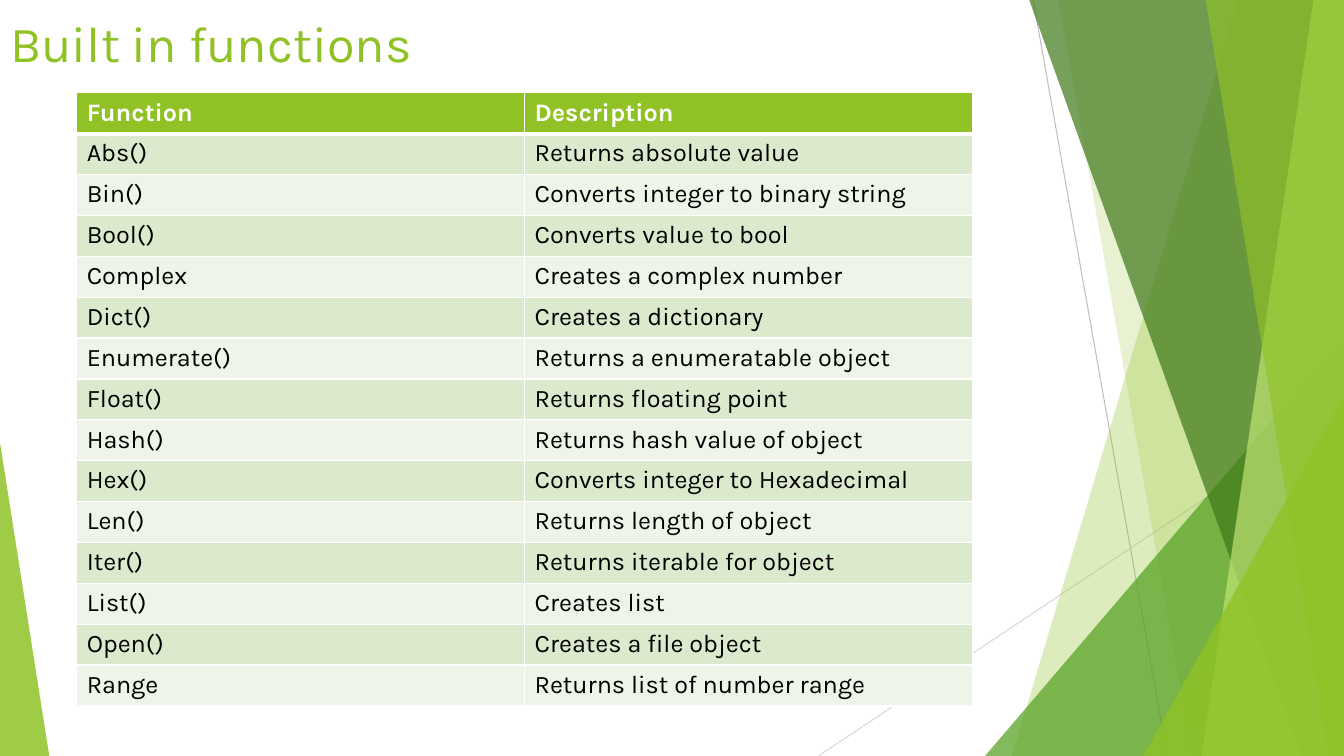
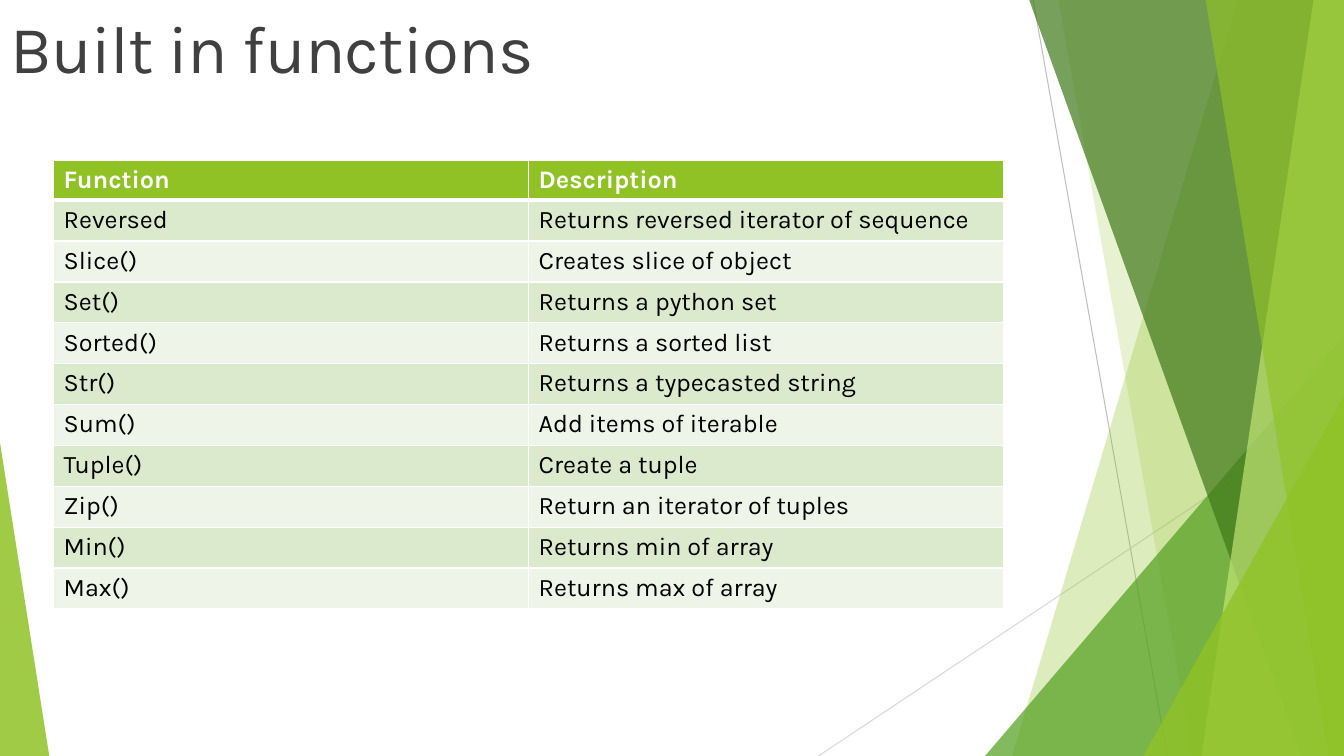
from lxml import etree
from pptx import Presentation
from pptx.dml.color import RGBColor
from pptx.enum.shapes import MSO_CONNECTOR, MSO_SHAPE
from pptx.enum.text import MSO_ANCHOR, MSO_AUTO_SIZE, PP_ALIGN
from pptx.oxml.ns import qn
from pptx.util import Pt

STRAIGHT = MSO_CONNECTOR.STRAIGHT
TRIANGLE = MSO_SHAPE.ISOSCELES_TRIANGLE
TOP, BOTTOM = MSO_ANCHOR.TOP, MSO_ANCHOR.BOTTOM
LEFT, NO_AUTOFIT = PP_ALIGN.LEFT, MSO_AUTO_SIZE.NONE

# Content
TITLE = "Built in functions"
HEADER = ("Function", "Description")
BASIC_FUNCTIONS = [
    ("Abs()", "Returns absolute value"),
    ("Bin()", "Converts integer to binary string"),
    ("Bool()", "Converts value to bool"),
    ("Complex", "Creates a complex number"),
    ("Dict()", "Creates a dictionary"),
    ("Enumerate()", "Returns a enumeratable object"),
    ("Float()", "Returns floating point"),
    ("Hash()", "Returns hash value of object"),
    ("Hex()", "Converts integer to Hexadecimal"),
    ("Len()", "Returns length of object"),
    ("Iter()", "Returns iterable for object"),
    ("List()", "Creates list"),
    ("Open()", "Creates a file object"),
    ("Range", "Returns list of number range"),
]
SEQUENCE_FUNCTIONS = [
    ("Reversed", "Returns reversed iterator of sequence"),
    ("Slice()", "Creates slice of object"),
    ("Set()", "Returns a python set"),
    ("Sorted()", "Returns a sorted list"),
    ("Str()", "Returns a typecasted string"),
    ("Sum()", "Add items of iterable"),
    ("Tuple()", "Create a tuple"),
    ("Zip()", "Return an iterator of tuples"),
    ("Min()", "Returns min of array"),
    ("Max()", "Returns max of array"),
]

# Shared look
WIDTH, HEIGHT = 960, 540
FONT = "Karla"
GREEN, GRAY, WHITE, BLACK = "90C226", "404040", "FFFFFF", "000000"
ROW_FILLS = ("DBE9CD", "EEF4E8")
ROW_HEIGHT = 29.2

# Backdrop lines: start, end, colour
LINES = [
    ((738, 0), (833.8, HEIGHT), "BFBFBF"),
    ((WIDTH, 290), (584.6, HEIGHT), "D9D9D9"),
]
# Bands run from a slanted left edge to the right side: top x, bottom x
# Triangles stand on the bottom edge: left, top, width, apex position
BACKDROP = [
    ("band", (884.2, 722.9), GREEN, 30),
    ("band", (756, 851.8), GREEN, 20),
    ("triangle", (703.6, 240, 256.4, 1), "54A021", 72),
    ("band", (735.2, 929.6), "3F7819", 70),
    ("band", (938.2, 858.2), "C0E474", 70),
    ("band", (861.2, 949), GREEN, 65),
    ("triangle", (816.6, 283, 143.4, 1), GREEN, 80),
    ("triangle", (0, 316, 35.2, 0), GREEN, 85),
]


def color(value):
    return RGBColor.from_string(value)


def style_run(run, size, value, bold=False):
    run.font.name = FONT
    run.font.size = Pt(size)
    run.font.bold = bold
    run.font.color.rgb = color(value)


def add_line(slide, start, end, value):
    line = slide.shapes.add_connector(STRAIGHT, *map(Pt, start + end))
    line.line.color.rgb = color(value)
    line.line.width = Pt(0.75)
    etree.SubElement(line.element.spPr, qn("a:effectLst"))
    return line


def add_facet(slide, kind, geometry, value, opacity):
    if kind == "band":
        top_x, bottom_x = geometry
        builder = slide.shapes.build_freeform(Pt(top_x), 0)
        corners = [(WIDTH, 0), (WIDTH, HEIGHT), (bottom_x, HEIGHT)]
        builder.add_line_segments([(Pt(x), Pt(y)) for x, y in corners], close=True)
        facet = builder.convert_to_shape()
    else:
        left, top, width, apex = geometry
        facet = slide.shapes.add_shape(
            TRIANGLE, Pt(left), Pt(top), Pt(width), Pt(HEIGHT - top))
        facet.adjustments[0] = apex
    facet.shadow.inherit = False
    facet.fill.solid()
    facet.fill.fore_color.rgb = color(value)
    facet.line.fill.background()
    fill_color = facet.element.spPr.find(".//" + qn("a:srgbClr"))
    etree.SubElement(fill_color, qn("a:alpha"), val=str(opacity * 1000))
    return facet


def move_backdrop_to_layout(slide, layout):
    """Draw the backdrop once, behind everything that uses the layout."""
    for placeholder in list(layout.placeholders):
        if placeholder.placeholder_format.idx:
            layout.shapes.element.remove(placeholder.element)
    parts = [add_line(slide, *line) for line in LINES]
    parts += [add_facet(slide, *facet) for facet in BACKDROP]
    for part in parts:
        layout.shapes.element.append(part.element)


def set_title(slide, size, value, anchor, line_spacing=None, tracking=None):
    title = slide.shapes.title
    title.left, title.top, title.width, title.height = map(Pt, (0, 5, 792, 61.2))
    frame = title.text_frame
    frame.text = TITLE
    frame.word_wrap = True
    frame.auto_size = NO_AUTOFIT
    frame.vertical_anchor = anchor
    paragraph = frame.paragraphs[0]
    paragraph.alignment = LEFT
    paragraph.line_spacing = line_spacing
    run = paragraph.runs[0]
    style_run(run, size, value)
    if tracking is not None:
        run.font._element.set("spc", str(round(tracking * 100)))


def set_borders(cell, top, bottom):
    properties = cell._tc.get_or_add_tcPr()
    sides = (("a:lnL", 1), ("a:lnR", 1), ("a:lnT", top), ("a:lnB", bottom))
    for position, (tag, width) in enumerate(sides):
        border = etree.Element(qn(tag), w=str(Pt(width)))
        fill = etree.SubElement(border, qn("a:solidFill"))
        etree.SubElement(fill, qn("a:srgbClr"), val=WHITE)
        properties.insert(position, border)


def add_function_table(slide, functions, left, top, width, header_height):
    rows = [HEADER] + functions
    height = header_height + ROW_HEIGHT * len(functions)
    table = slide.shapes.add_table(
        len(rows), len(HEADER), *map(Pt, (left, top, width, height))).table
    for column in table.columns:
        column.width = Pt(width / len(HEADER))
    for row_index, texts in enumerate(rows):
        is_header = row_index == 0
        table.rows[row_index].height = Pt(header_height if is_header else ROW_HEIGHT)
        for column_index, text in enumerate(texts):
            cell = table.cell(row_index, column_index)
            cell.text = text
            style_run(cell.text_frame.paragraphs[0].runs[0], 18,
                      WHITE if is_header else BLACK, is_header)
            cell.fill.solid()
            cell.fill.fore_color.rgb = color(
                GREEN if is_header else ROW_FILLS[(row_index - 1) % 2])
            set_borders(cell, top=3 if row_index == 1 else 1,
                        bottom=3 if is_header else 1)


presentation = Presentation()
presentation.slide_width, presentation.slide_height = Pt(WIDTH), Pt(HEIGHT)
title_only = presentation.slide_layouts[5]

# Slide 1: basic functions
slide = presentation.slides.add_slide(title_only)
move_backdrop_to_layout(slide, title_only)
set_title(slide, 36, GREEN, TOP)
add_function_table(slide, BASIC_FUNCTIONS, 54.8, 66.3, 639.8, ROW_HEIGHT)

# Slide 2: sequence functions
slide = presentation.slides.add_slide(title_only)
set_title(slide, 48, GRAY, BOTTOM, line_spacing=0.85, tracking=-0.5)
add_function_table(slide, SEQUENCE_FUNCTIONS, 38.3, 114.6, 678.6, 28.4)

presentation.save("out.pptx")
